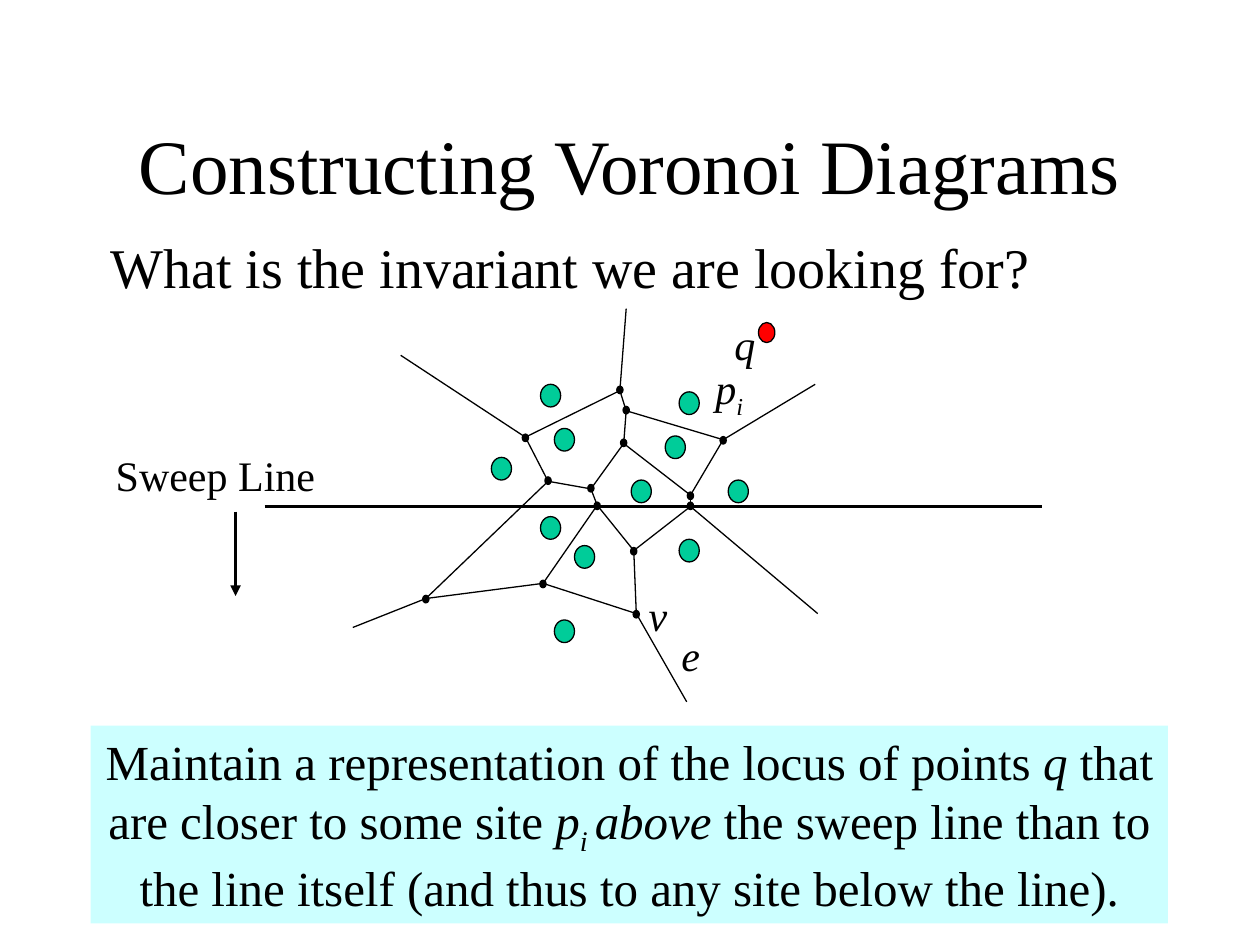
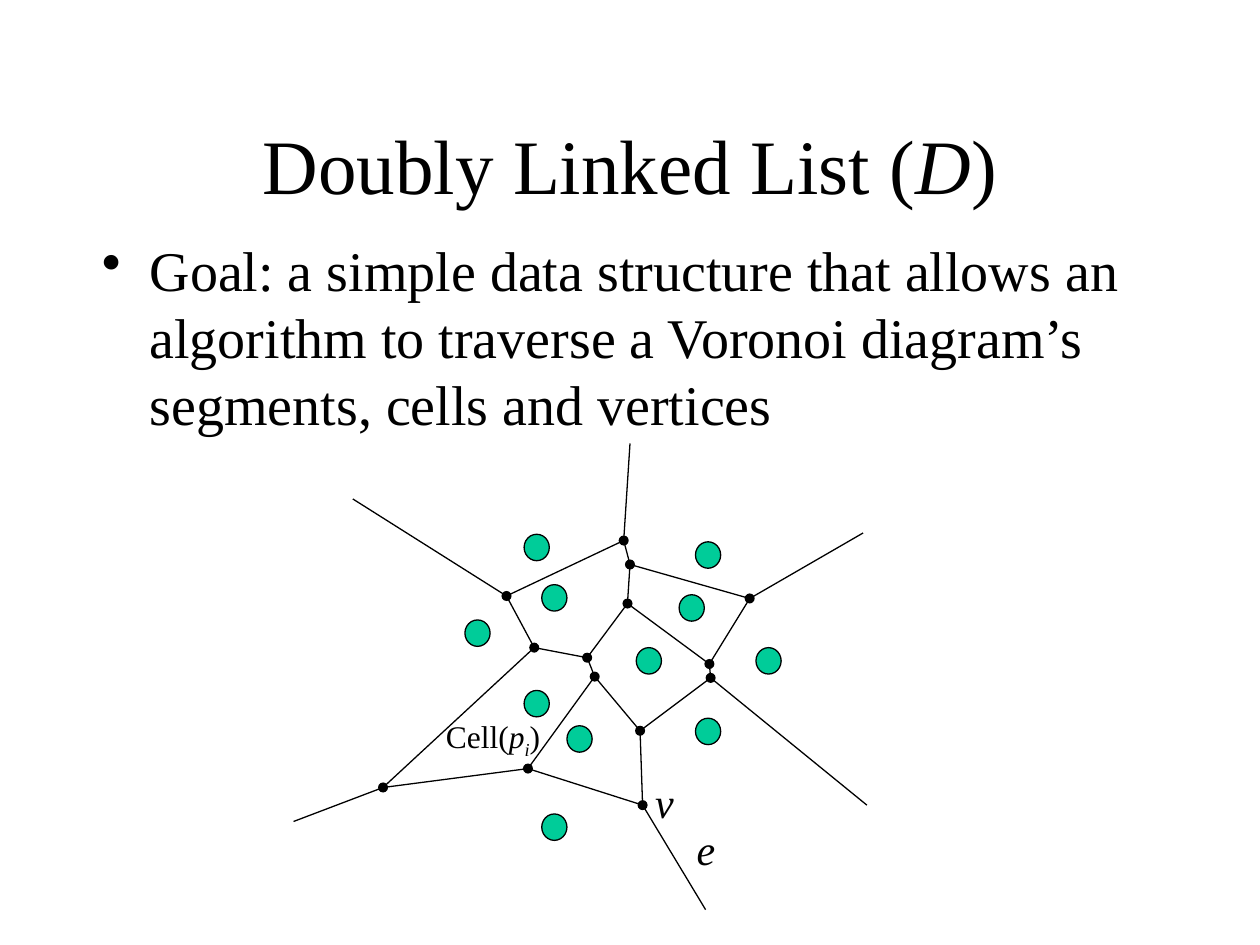
from dataclasses import dataclass

from lxml import etree
from pptx import Presentation
from pptx.dml.color import RGBColor
from pptx.enum.shapes import MSO_CONNECTOR, MSO_SHAPE
from pptx.enum.text import MSO_ANCHOR, MSO_AUTO_SIZE, PP_ALIGN
from pptx.oxml.ns import qn
from pptx.util import Emu, Pt

STRAIGHT = MSO_CONNECTOR.STRAIGHT
RECTANGLE, OVAL = MSO_SHAPE.RECTANGLE, MSO_SHAPE.OVAL
TOP, MIDDLE = MSO_ANCHOR.TOP, MSO_ANCHOR.MIDDLE
LEFT, CENTER = PP_ALIGN.LEFT, PP_ALIGN.CENTER
FIT_SHAPE, NO_FIT = MSO_AUTO_SIZE.SHAPE_TO_FIT_TEXT, MSO_AUTO_SIZE.NONE
BLANK_LAYOUT = 6
EMU_PER_PX = 9144  # 100 px to the inch


@dataclass(frozen=True)
class Theme:
    font: str = "Times New Roman"
    ink: str = "000000"
    site: str = "00CC99"
    query: str = "FF0000"
    callout: str = "CCFFFF"
    title_pt: int = 44
    body_pt: int = 32
    callout_pt: int = 28
    label_pt: int = 24
    small_pt: int = 18
    body_gap_pt: int = 8
    thin_pt: float = 0.75
    bold_pt: float = 2
    hanging_px: int = 38


@dataclass(frozen=True)
class Box:
    left: int
    top: int
    width: int
    height: int


@dataclass(frozen=True)
class Span:
    text: str
    italic: bool = False
    subscript: bool = False


@dataclass(frozen=True)
class Label:
    box: Box
    spans: list[Span]
    size: int


Point = tuple[int, int]
THEME = Theme()
TITLE_BOX = Box(75, 67, 850, 125)
P_I = [Span("p", italic=True), Span("i", italic=True, subscript=True)]

# Voronoi diagram, laid out in a field of this size
FIELD_WIDTH, FIELD_HEIGHT = 455, 370
VERTICES: dict[str, Point] = {
    "crown": (262, 77), "neck": (267, 96), "centre": (265, 127),
    "northwest": (169, 121), "northeast": (362, 123),
    "west": (191, 162), "hub": (233, 170), "hub_low": (239, 185),
    "east": (330, 175), "east_low": (331, 186), "valley": (275, 228),
    "southwest": (71, 273), "fork": (186, 258), "south": (277, 287),
}
RAY_ENDS: dict[str, Point] = {
    "crown": (267, 0), "northwest": (47, 44), "northeast": (452, 71),
    "southwest": (0, 300), "south": (327, 370), "east_low": (455, 287),
}
CELL_EDGES = [
    ("northwest", "crown"), ("crown", "neck"), ("neck", "centre"),
    ("neck", "northeast"), ("northeast", "east"), ("east", "east_low"),
    ("centre", "east"), ("centre", "hub"), ("hub", "hub_low"),
    ("northwest", "west"), ("west", "hub"), ("west", "southwest"),
    ("southwest", "fork"), ("fork", "hub_low"), ("fork", "south"),
    ("hub_low", "valley"), ("valley", "east_low"), ("valley", "south"),
]
SITES: list[Point] = [
    (193, 82), (207, 123), (146, 151), (193, 206), (227, 234), (207, 304),
    (282, 172), (316, 130), (329, 89), (377, 172), (329, 228),
]
VERTEX_SIZE = (8, 8)
SITE_SIZE = (20, 21)
VERTEX_LABEL_AT = (277, 259)
EDGE_LABEL_AT = (310, 297)


def px(length: int) -> Emu:
    return Emu(length * EMU_PER_PX)


def place(box: Box) -> tuple[Emu, Emu, Emu, Emu]:
    return px(box.left), px(box.top), px(box.width), px(box.height)


def rgb(colour: str) -> RGBColor:
    return RGBColor.from_string(colour)


def write(shape, spans: list[Span], size: int, align=LEFT, anchor=TOP,
          wrap: bool = True, fit=NO_FIT):
    """Fill the shape with one paragraph and return that paragraph."""
    frame = shape.text_frame
    frame.word_wrap = wrap
    frame.auto_size = fit
    frame.vertical_anchor = anchor
    paragraph = frame.paragraphs[0]
    paragraph.alignment = align
    for span in spans:
        run = paragraph.add_run()
        run.text = span.text
        run.font.name = THEME.font
        run.font.size = Pt(size)
        run.font.italic = span.italic
        run.font.color.rgb = rgb(THEME.ink)
        if span.subscript:
            run._r.get_or_add_rPr().set("baseline", "-25000")
    return paragraph


def add_label(slide, label: Label) -> None:
    textbox = slide.shapes.add_textbox(*place(label.box))
    write(textbox, label.spans, label.size, wrap=False, fit=FIT_SHAPE)


def add_title(slide, spans: list[Span]) -> None:
    title = slide.shapes.add_textbox(*place(TITLE_BOX))
    write(title, spans, THEME.title_pt, CENTER, MIDDLE)


def add_body(slide, box: Box, text: str, bullet: bool = False) -> None:
    body = slide.shapes.add_textbox(*place(box))
    paragraph = write(body, [Span(text)], THEME.body_pt)
    paragraph.space_before = Pt(THEME.body_gap_pt)
    properties = paragraph._p.get_or_add_pPr()
    properties.set("marL", str(px(THEME.hanging_px)))
    properties.set("indent", str(-px(THEME.hanging_px)))
    if bullet:
        etree.SubElement(properties, qn("a:buChar")).set("char", "•")


def add_filled(slide, preset, box: Box, fill: str, outlined: bool = False):
    shape = slide.shapes.add_shape(preset, *place(box))
    shape.shadow.inherit = False
    shape.fill.solid()
    shape.fill.fore_color.rgb = rgb(fill)
    if outlined:
        shape.line.color.rgb = rgb(THEME.ink)
        shape.line.width = Pt(THEME.thin_pt)
    else:
        shape.line.fill.background()
    return shape


def add_point(slide, centre: Point, size: Point, fill: str,
              outlined: bool = False) -> None:
    (x, y), (width, height) = centre, size
    box = Box(round(x - width / 2), round(y - height / 2), width, height)
    add_filled(slide, OVAL, box, fill, outlined)


def add_line(slide, start: Point, end: Point, weight: float = THEME.thin_pt,
             arrow: bool = False) -> None:
    line = slide.shapes.add_connector(STRAIGHT, *map(px, start + end))
    line.line.color.rgb = rgb(THEME.ink)
    line.line.width = Pt(weight)
    if arrow:
        outline = line.line._get_or_add_ln()
        etree.SubElement(outline, qn("a:tailEnd")).set("type", "triangle")
    etree.SubElement(line._element.spPr, qn("a:effectLst"))


def add_voronoi(slide, field: Box) -> None:
    """Draw the diagram scaled into the field."""
    x_scale = field.width / FIELD_WIDTH
    y_scale = field.height / FIELD_HEIGHT

    def scaled(size: Point) -> Point:
        return round(size[0] * x_scale), round(size[1] * y_scale)

    def at(point: Point) -> Point:
        x, y = scaled(point)
        return field.left + x, field.top + y

    # Edges, then the rays that leave the diagram
    for first, second in CELL_EDGES:
        add_line(slide, at(VERTICES[first]), at(VERTICES[second]))
    for vertex, end in RAY_ENDS.items():
        add_line(slide, at(VERTICES[vertex]), at(end))

    # Vertices and sites
    for vertex in VERTICES.values():
        add_point(slide, at(vertex), scaled(VERTEX_SIZE), THEME.ink)
    for site in SITES:
        add_point(slide, at(site), scaled(SITE_SIZE), THEME.site, True)

    # Names of a vertex and an edge
    for name, corner in (("v", VERTEX_LABEL_AT), ("e", EDGE_LABEL_AT)):
        box = Box(*at(corner), 35, 50)
        add_label(slide, Label(box, [Span(name, italic=True)], THEME.label_pt))


def build_invariant_slide(slide) -> None:
    add_title(slide, [Span("Constructing Voronoi Diagrams")])
    add_body(slide, Box(78, 180, 850, 74),
             "What is the invariant we are looking for?")

    # Statement of the invariant
    statement = add_filled(slide, RECTANGLE, Box(72, 576, 855, 157),
                           THEME.callout)
    write(statement, [
        Span("Maintain a representation of the locus of points "),
        Span("q", italic=True),
        Span(" that are closer to some site "),
        Span("p", italic=True),
        Span("i ", italic=True, subscript=True),
        Span("above", italic=True),
        Span(" the sweep line than to the line itself "
             "(and thus to any site below the line)."),
    ], THEME.callout_pt, CENTER, fit=FIT_SHAPE)

    add_voronoi(slide, Box(280, 245, 369, 312))

    # Sweep line and its direction
    add_line(slide, (210, 402), (827, 402), THEME.bold_pt)
    add_line(slide, (187, 406), (187, 473), THEME.bold_pt, arrow=True)

    # Query point and labels
    for label in (
        Label(Box(558, 283, 42, 56), P_I, THEME.label_pt),
        Label(Box(82, 352, 178, 50), [Span("Sweep Line")], THEME.label_pt),
        Label(Box(573, 248, 36, 50), [Span("q", italic=True)], THEME.label_pt),
    ):
        add_label(slide, label)
    add_point(slide, (608, 264), (13, 16), THEME.query, True)


def build_linked_list_slide(slide) -> None:
    add_title(slide, [Span("Doubly Linked List ("), Span("D", italic=True),
                      Span(")")])
    add_body(slide, Box(71, 182, 850, 192),
             "Goal: a simple data structure that allows an algorithm to "
             "traverse a Voronoi diagram’s segments, cells and vertices",
             bullet=True)
    add_voronoi(slide, Box(233, 352, FIELD_WIDTH, FIELD_HEIGHT))
    add_label(slide, Label(Box(344, 564, 95, 44),
                           [Span("Cell("), *P_I, Span(")")], THEME.small_pt))


def main() -> None:
    deck = Presentation()
    deck.slide_width, deck.slide_height = px(1000), px(750)
    for build in (build_invariant_slide, build_linked_list_slide):
        build(deck.slides.add_slide(deck.slide_layouts[BLANK_LAYOUT]))
    deck.save("out.pptx")


if __name__ == "__main__":
    main()
